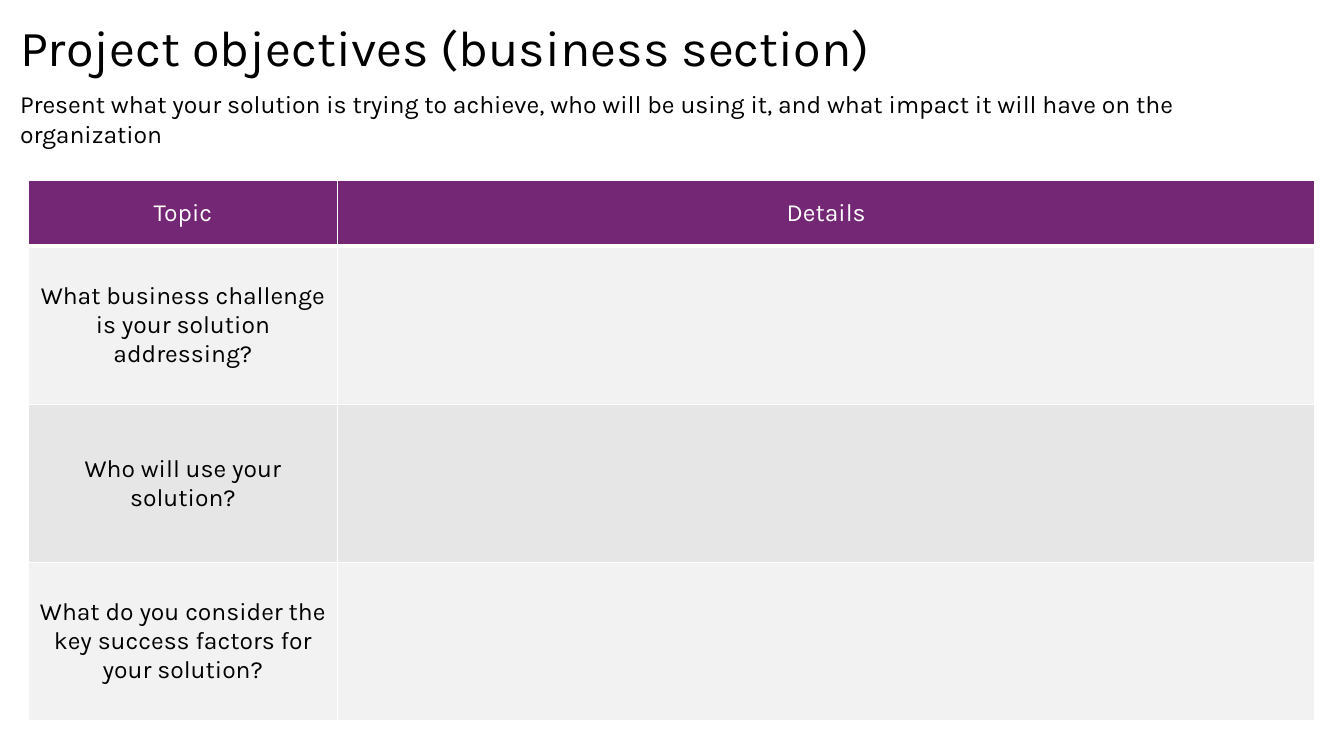
from dataclasses import dataclass

from lxml import etree
from pptx import Presentation
from pptx.dml.color import RGBColor
from pptx.enum.text import MSO_ANCHOR, PP_ALIGN
from pptx.oxml.ns import qn
from pptx.util import Inches, Pt

MIDDLE = MSO_ANCHOR.MIDDLE
CENTER = PP_ALIGN.CENTER

TITLE = "Project objectives (business section)"
INTRO = ("Present what your solution is trying to achieve, who will be using it, "
         "and what impact it will have on the organization")
OBJECTIVES = [
    ("Topic", "Details"),
    ("What business challenge is your solution addressing?", ""),
    ("Who will use your solution?", ""),
    ("What do you consider the key success factors for your solution?", ""),
]

SLIDE_SIZE = (13.33, 7.5)
TITLE_BOX = (0.1, 0.11, 13.15, 0.71)
INTRO_BOX = (0.1, 0.83, 12.82, 0.4)
TABLE_ORIGIN = (0.28, 1.79)
COLUMN_WIDTHS = (3.07, 9.69)
HEADER_HEIGHT, TOPIC_HEIGHT = 0.65, 1.57


@dataclass(frozen=True)
class Theme:
    font: str = "Karla"
    title_size: float = 36
    intro_size: float = 17.7
    table_size: float = 17.6
    ink: str = "000000"
    paper: str = "FFFFFF"
    header: str = "742774"
    bands: tuple = ("F2F2F2", "E6E6E6")
    rule: float = 1
    header_rule: float = 3


THEME = Theme()


def style(paragraph, size, color):
    paragraph.font.name = THEME.font
    paragraph.font.size = Pt(size)
    paragraph.font.color.rgb = RGBColor.from_string(color)


def add_text(slide, box, text, size):
    frame = slide.shapes.add_textbox(*map(Inches, box)).text_frame
    frame.word_wrap = True
    frame.text = text
    style(frame.paragraphs[0], size, THEME.ink)


def set_borders(cell, top, bottom):
    properties = cell._tc.get_or_add_tcPr()
    sides = (("lnL", THEME.rule), ("lnR", THEME.rule), ("lnT", top), ("lnB", bottom))
    for position, (side, width) in enumerate(sides):
        line = etree.Element(qn(f"a:{side}"), w=str(Pt(width)))
        fill = etree.SubElement(line, qn("a:solidFill"))
        etree.SubElement(fill, qn("a:srgbClr"), val=THEME.paper)
        properties.insert(position, line)


def add_objectives(slide):
    heights = [HEADER_HEIGHT] + [TOPIC_HEIGHT] * (len(OBJECTIVES) - 1)
    area = (*TABLE_ORIGIN, sum(COLUMN_WIDTHS), sum(heights))
    table = slide.shapes.add_table(
        len(heights), len(COLUMN_WIDTHS), *map(Inches, area)).table
    for column, width in zip(table.columns, COLUMN_WIDTHS):
        column.width = Inches(width)
    for index, (row, height, entries) in enumerate(zip(table.rows, heights, OBJECTIVES)):
        row.height = Inches(height)
        is_header = index == 0
        background = THEME.header if is_header else THEME.bands[(index - 1) % 2]
        top = THEME.header_rule if index == 1 else THEME.rule
        bottom = THEME.header_rule if is_header else THEME.rule
        for cell, entry in zip(row.cells, entries):
            cell.text = entry
            cell.vertical_anchor = MIDDLE
            cell.fill.solid()
            cell.fill.fore_color.rgb = RGBColor.from_string(background)
            set_borders(cell, top, bottom)
            paragraph = cell.text_frame.paragraphs[0]
            paragraph.alignment = CENTER
            style(paragraph, THEME.table_size, THEME.paper if is_header else THEME.ink)
            paragraph.font.bold = False


def main():
    deck = Presentation()
    deck.slide_width, deck.slide_height = map(Inches, SLIDE_SIZE)
    slide = deck.slides.add_slide(deck.slide_layouts[6])
    add_text(slide, TITLE_BOX, TITLE, THEME.title_size)
    add_text(slide, INTRO_BOX, INTRO, THEME.intro_size)
    add_objectives(slide)
    deck.save("out.pptx")


if __name__ == "__main__":
    main()
